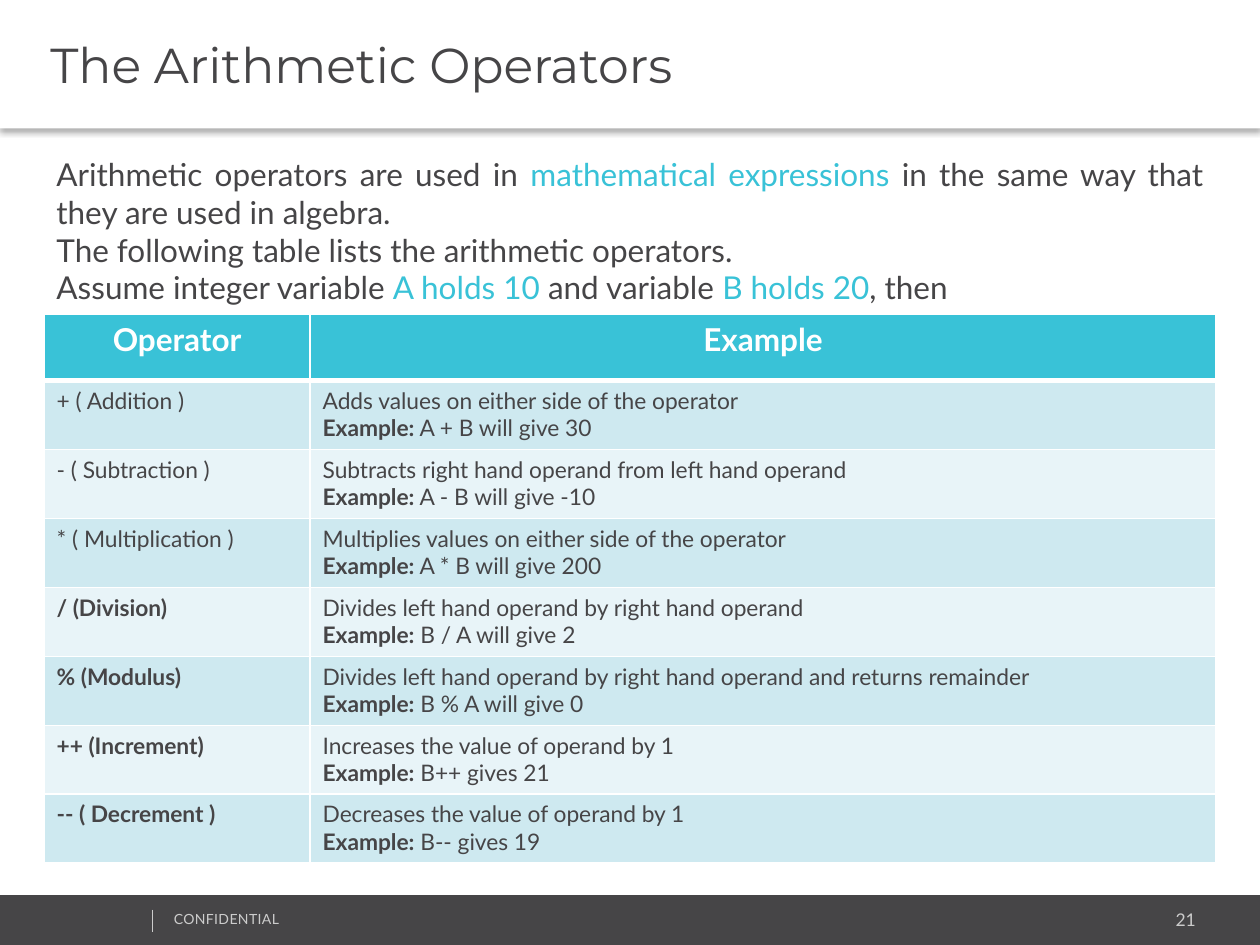
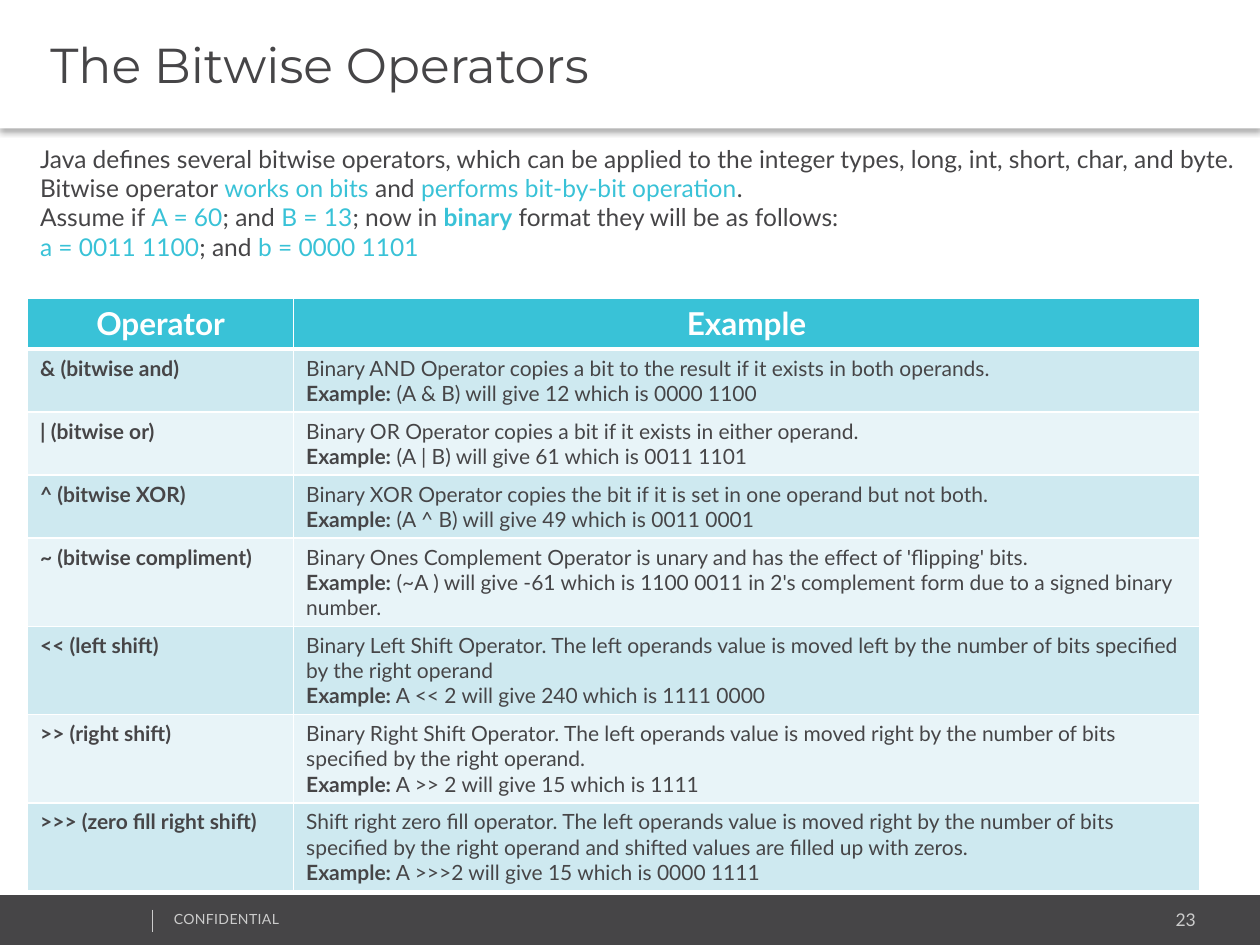
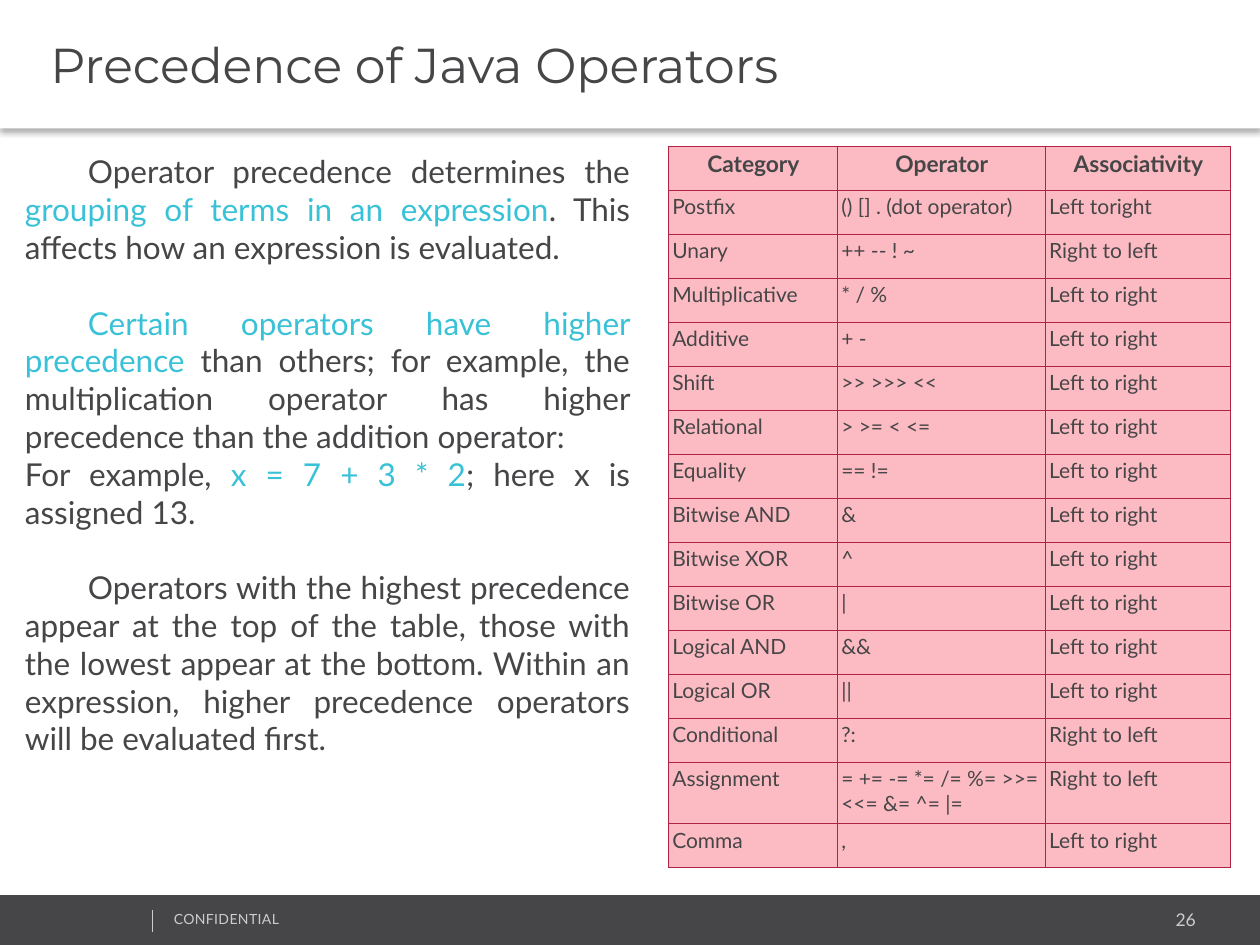
from dataclasses import dataclass, field
from typing import Any, NamedTuple

from lxml.etree import SubElement
from pptx import Presentation
from pptx.dml.color import RGBColor
from pptx.enum.shapes import MSO_CONNECTOR, MSO_SHAPE
from pptx.enum.text import MSO_ANCHOR, MSO_AUTO_SIZE, PP_ALIGN
from pptx.oxml.ns import qn
from pptx.util import Pt


@dataclass(frozen=True)
class Theme:
    text: str = "464547"
    accent: str = "39C2D7"
    white: str = "FFFFFF"
    muted: str = "CCCCCC"
    shadow: str = "000000"
    band_dark: str = "CEE9F0"
    band_light: str = "E8F4F8"
    pink: str = "FCBBC2"
    crimson: str = "B12343"
    heading_font: str = "Montserrat"
    body_font: str = "Lato"
    title_size: float = 28
    large_size: float = 18
    intro_size: float = 14
    table_size: float = 13
    small_table_size: float = 12
    number_size: float = 10
    footer_size: float = 8


THEME = Theme()


class Box(NamedTuple):
    left: float
    top: float
    width: float
    height: float

    def lengths(self) -> tuple:
        return tuple(Pt(value) for value in self)


class Run(NamedTuple):
    text: str
    color: str = THEME.text
    bold: bool = False


@dataclass(frozen=True)
class Line:
    runs: list[Run]
    size: float
    alignment: Any = PP_ALIGN.LEFT
    space_before: float = 0
    indent: float = 0
    font: str = THEME.body_font


@dataclass(frozen=True)
class Cell:
    lines: list[Line]
    fill: str
    border: str
    border_width: float = 1
    bottom_width: float = 1
    margins: dict[str, Any] = field(default_factory=dict)


class Operation(NamedTuple):
    name: str
    description: str
    example: str
    bold: bool = True
    height: float = 36


def accent(text: str, bold: bool = False) -> Run:
    return Run(text, THEME.accent, bold)


def apply(target: Any, values: dict[str, Any]) -> None:
    for name, value in values.items():
        setattr(target, name, value)


def margins(left: float, top: float, right: float, bottom: float) -> dict[str, Any]:
    return {
        "margin_left": Pt(left),
        "margin_top": Pt(top),
        "margin_right": Pt(right),
        "margin_bottom": Pt(bottom),
    }


def write(text_frame, lines: list[Line]) -> None:
    for number, line in enumerate(lines):
        paragraph = text_frame.add_paragraph() if number else text_frame.paragraphs[0]
        apply(paragraph, {"alignment": line.alignment, "space_before": Pt(line.space_before)})
        if line.indent:
            paragraph._p.get_or_add_pPr().set("indent", str(Pt(line.indent)))
        for item in line.runs:
            run = paragraph.add_run()
            run.text = item.text
            apply(run.font, {"name": line.font, "size": Pt(line.size), "bold": item.bold})
            run.font.color.rgb = RGBColor.from_string(item.color)


def add_text(slide, box: Box, lines: list[Line]):
    shape = slide.shapes.add_textbox(*box.lengths())
    shape.text_frame.word_wrap = True
    write(shape.text_frame, lines)
    return shape


def paint(shape, color: str) -> None:
    shape.fill.solid()
    shape.fill.fore_color.rgb = RGBColor.from_string(color)
    shape.line.fill.background()
    shape.shadow.inherit = False


def add_title(slide, text: str) -> None:
    title = slide.shapes.title
    box = Box(0, 0, 720, 73.4)
    apply(title, dict(zip(("left", "top", "width", "height"), box.lengths())))
    paint(title, THEME.white)
    effects = title._element.spPr.find(qn("a:effectLst"))
    shadow = SubElement(
        effects, qn("a:outerShdw"),
        blurRad=str(Pt(3.1)), dist=str(Pt(2)), dir="5400000", algn="t", rotWithShape="0",
    )
    color = SubElement(shadow, qn("a:srgbClr"), val=THEME.shadow)
    SubElement(color, qn("a:alpha"), val="30000")
    apply(title.text_frame, {
        "word_wrap": True,
        "auto_size": MSO_AUTO_SIZE.NONE,
        "vertical_anchor": MSO_ANCHOR.MIDDLE,
        **margins(28.8, 3.6, 7.2, 3.6),
    })
    write(title.text_frame, [Line([Run(text)], THEME.title_size, font=THEME.heading_font)])


def add_footer(slide, number: int) -> None:
    band = slide.shapes.add_shape(MSO_SHAPE.RECTANGLE, *Box(0, 511.6, 720, 28.4).lengths())
    paint(band, THEME.text)
    add_text(slide, Box(573, 516.2, 117.4, 19.4), [
        Line([Run(str(number), THEME.muted)], THEME.number_size, PP_ALIGN.RIGHT),
    ])
    label = add_text(slide, Box(92.2, 516.6, 182, 17.3), [
        Line([Run("CONFIDENTIAL", THEME.muted)], THEME.footer_size),
    ])
    label.text_frame.paragraphs[0].runs[0].font._element.set("spc", "20")
    divider = slide.shapes.add_connector(
        MSO_CONNECTOR.STRAIGHT, Pt(87.1), Pt(519.8), Pt(87.1), Pt(532.8)
    )
    divider.line.color.rgb = RGBColor.from_string(THEME.muted)
    divider.line.width = Pt(0.25)
    SubElement(divider._element.spPr, qn("a:effectLst"))


def add_border(properties, side: str, color: str, width: float) -> None:
    border = SubElement(properties, qn(f"a:ln{side}"), w=str(Pt(width)))
    fill = SubElement(border, qn("a:solidFill"))
    SubElement(fill, qn("a:srgbClr"), val=color)


def add_grid(slide, left: float, top: float, widths: list[float],
             heights: list[float], rows: list[list[Cell]]) -> None:
    box = Box(left, top, sum(widths), sum(heights))
    table = slide.shapes.add_table(len(rows), len(widths), *box.lengths()).table
    apply(table, {"first_row": False, "horz_banding": False})
    for column, width in zip(table.columns, widths):
        column.width = Pt(width)
    for row, height, cells in zip(table.rows, heights, rows):
        row.height = Pt(height)
        for target, cell in zip(row.cells, cells):
            apply(target, cell.margins)
            properties = target._tc.get_or_add_tcPr()
            for side in "LRTB":
                width = cell.bottom_width if side == "B" else cell.border_width
                add_border(properties, side, cell.border, width)
            target.fill.solid()
            target.fill.fore_color.rgb = RGBColor.from_string(cell.fill)
            write(target.text_frame, cell.lines)


def add_operations(slide, left: float, top: float, header_height: float, size: float,
                   operations: list[Operation]) -> None:
    rows = [[
        Cell([Line([Run(heading, THEME.white, True)], THEME.large_size, PP_ALIGN.CENTER)],
             THEME.accent, THEME.white, bottom_width=3)
        for heading in ("Operator", "Example")
    ]]
    for number, operation in enumerate(operations):
        fill = THEME.band_light if number % 2 else THEME.band_dark
        name = [Line([Run(operation.name, bold=operation.bold)], size)]
        details = [
            Line([Run(operation.description)], size),
            Line([Run("Example:", bold=True), Run(f" {operation.example}")], size),
        ]
        rows.append([Cell(lines, fill, THEME.white) for lines in (name, details)])
    heights = [header_height] + [operation.height for operation in operations]
    add_grid(slide, left, top, [152, 517.6], heights, rows)


def add_precedence(slide) -> None:
    left_to_right, right_to_left = "Left to right", "Right to left"
    entries = [
        ("Category", "Operator", "Associativity"),
        ("Postfix", "() [] . (dot operator)", "Left toright"),
        ("Unary", "++ -- ! ~", right_to_left),
        ("Multiplicative", "* / %", left_to_right),
        ("Additive", "+ -", left_to_right),
        ("Shift", ">> >>> <<", left_to_right),
        ("Relational", "> >= < <=", left_to_right),
        ("Equality", "== !=", left_to_right),
        ("Bitwise AND", "&", left_to_right),
        ("Bitwise XOR", "^", left_to_right),
        ("Bitwise OR", "|", left_to_right),
        ("Logical AND", "&&", left_to_right),
        ("Logical OR", "||", left_to_right),
        ("Conditional", "?:", right_to_left),
        ("Assignment", "= += -= *= /= %= >>= <<= &= ^= |=", right_to_left),
        ("Comma", ",", left_to_right),
    ]
    rows = []
    for number, entry in enumerate(entries):
        header = number == 0
        size = THEME.table_size if header else THEME.small_table_size
        alignment = PP_ALIGN.CENTER if header else PP_ALIGN.LEFT
        rows.append([
            Cell([Line([Run(text, bold=header)], size, alignment)], THEME.pink,
                 THEME.crimson, 0.75, 0.75, margins(2, 2, 2, 2))
            for text in entry
        ])
    heights = [35.3 if entry[0] == "Assignment" else 25.15 for entry in entries]
    add_grid(slide, 382.2, 83.5, [96.6, 118.8, 105.8], heights, rows)


def start_slide(presentation, title: str, number: int):
    slide = presentation.slides.add_slide(presentation.slide_layouts[5])
    add_footer(slide, number)
    add_title(slide, title)
    return slide


def build_arithmetic(presentation) -> None:
    slide = start_slide(presentation, "The Arithmetic Operators", 21)
    introduction = [
        [Run("Arithmetic operators are used in "), accent("mathematical expressions "),
         Run("in the same way that they are used in algebra. ")],
        [Run("The following table lists the arithmetic operators.")],
        [Run("Assume integer variable "), accent("A holds 10 "), Run("and variable "),
         accent("B holds 20"), Run(", then")],
    ]
    add_text(slide, Box(25.2, 85, 669.6, 94.3), [
        Line(runs, THEME.large_size, PP_ALIGN.JUSTIFY) for runs in introduction
    ])
    height = 39.4
    add_operations(slide, 25.2, 179.6, 38, THEME.table_size, [
        Operation("+ ( Addition )", "Adds values on either side of the operator",
                  "A + B will give 30", False, height),
        Operation("- ( Subtraction )", "Subtracts right hand operand from left hand operand",
                  "A - B will give -10", False, height),
        Operation("* ( Multiplication )", "Multiplies values on either side of the operator",
                  "A * B will give 200", False, height),
        Operation("/ (Division)", "Divides left hand operand by right hand operand",
                  "B / A will give 2", height=height),
        Operation("% (Modulus)",
                  "Divides left hand operand by right hand operand and returns remainder",
                  "B % A will give 0", height=height),
        Operation("++ (Increment)", "Increases the value of operand by 1",
                  "B++ gives 21", height=height),
        Operation("-- ( Decrement )", "Decreases the value of operand by 1",
                  "B-- gives 19", height=height),
    ])


def build_bitwise(presentation) -> None:
    slide = start_slide(presentation, "The Bitwise Operators", 23)
    introduction = [
        [Run("Java defines several bitwise operators, which can be applied to the integer "
             "types, long, int, short, char, and byte.")],
        [Run("Bitwise operator "), accent("works on bits "), Run("and "),
         accent("performs bit-by-bit operation"), Run(".")],
        [Run("Assume if "), accent("A = 60"), Run("; and "), accent("B = 13"),
         Run("; now in "), accent("binary", True), Run(" format they will be as follows:")],
        [accent("a = 0011 1100"), Run("; and "), accent("b = 0000 1101")],
    ]
    add_text(slide, Box(15.8, 78.5, 702, 92), [
        Line(runs, THEME.intro_size) for runs in introduction
    ])
    tall = 50.4
    add_operations(slide, 15.8, 170.6, 28.8, THEME.small_table_size, [
        Operation("& (bitwise and)",
                  "Binary AND Operator copies a bit to the result if it exists in both operands.",
                  "(A & B) will give 12 which is 0000 1100"),
        Operation("| (bitwise or)",
                  "Binary OR Operator copies a bit if it exists in either operand.",
                  "(A | B) will give 61 which is 0011 1101"),
        Operation("^ (bitwise XOR)",
                  "Binary XOR Operator copies the bit if it is set in one operand but not both.",
                  "(A ^ B) will give 49 which is 0011 0001"),
        Operation("~ (bitwise compliment)",
                  "Binary Ones Complement Operator is unary and has the effect of "
                  "'flipping' bits.",
                  "(~A ) will give -61 which is 1100 0011 in 2's complement form due to "
                  "a signed binary number.", height=tall),
        Operation("<< (left shift)",
                  "Binary Left Shift Operator. The left operands value is moved left by "
                  "the number of bits specified by the right operand",
                  "A << 2 will give 240 which is 1111 0000", height=tall),
        Operation(">> (right shift)",
                  "Binary Right Shift Operator. The left operands value is moved right by "
                  "the number of bits specified by the right operand.",
                  "A >> 2 will give 15 which is 1111", height=tall),
        Operation(">>> (zero fill right shift)",
                  "Shift right zero fill operator. The left operands value is moved right by "
                  "the number of bits specified by the right operand and shifted values are "
                  "filled up with zeros.",
                  "A >>>2 will give 15 which is 0000 1111", height=tall),
    ])


def build_precedence(presentation) -> None:
    slide = start_slide(presentation, "Precedence of Java Operators", 26)
    add_precedence(slide)
    size, justify, gap, indent = THEME.large_size, PP_ALIGN.JUSTIFY, 21.6, 36
    add_text(slide, Box(7.2, 83.5, 360, 378), [
        Line([Run("Operator precedence determines the "),
              accent("grouping of terms in an expression"),
              Run(". This affects how an expression is evaluated. ")],
             size, justify, indent=indent),
        Line([accent("Certain operators have higher precedence "),
              Run("than others; for example, the multiplication operator has higher "
                  "precedence than the addition operator:")],
             size, justify, gap, indent),
        Line([Run("For example, "), accent("x = 7 + 3 * 2"), Run("; here x is assigned 13.")],
             size, justify),
        Line([Run("Operators with the highest precedence appear at the top of the table, "
                  "those with the lowest appear at the bottom. Within an expression, higher "
                  "precedence operators will be evaluated first.")],
             size, justify, gap, indent),
    ])


def main() -> None:
    presentation = Presentation()
    apply(presentation, {"slide_width": Pt(720), "slide_height": Pt(540)})
    for build in (build_arithmetic, build_bitwise, build_precedence):
        build(presentation)
    presentation.save("out.pptx")


if __name__ == "__main__":
    main()
